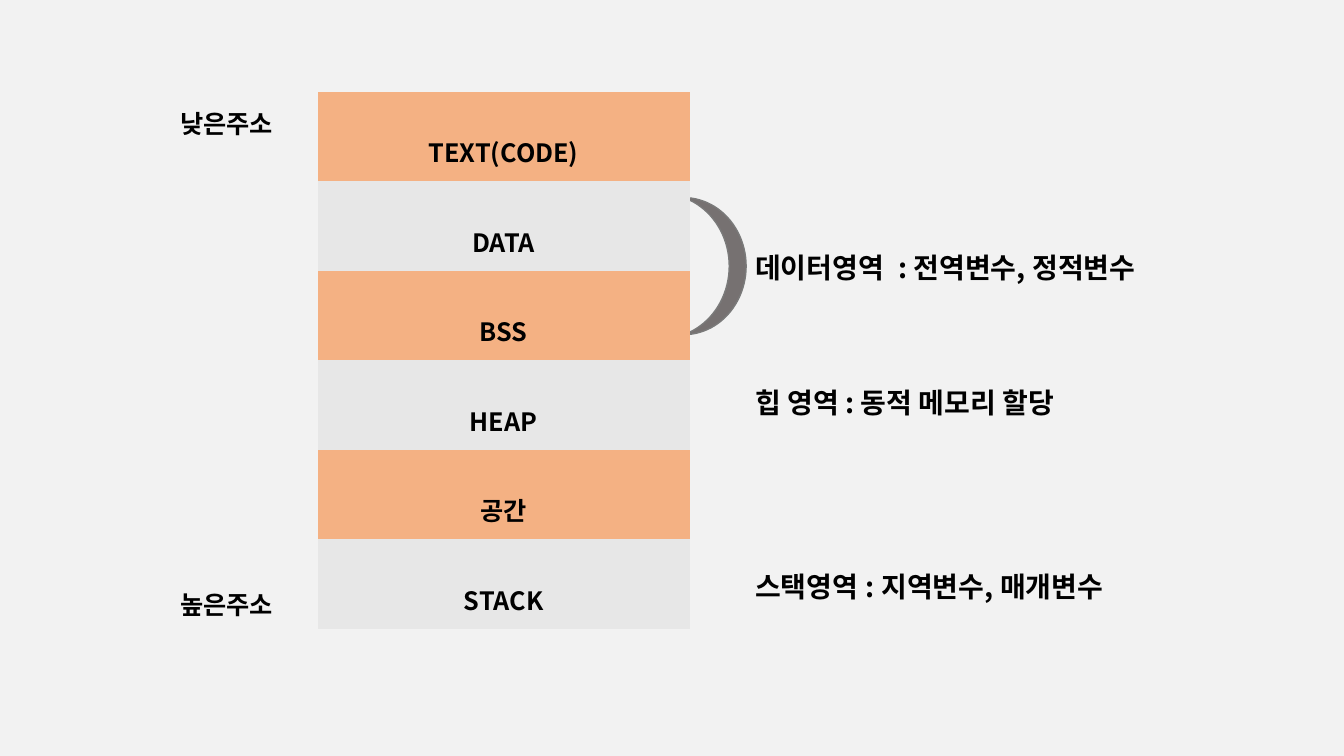
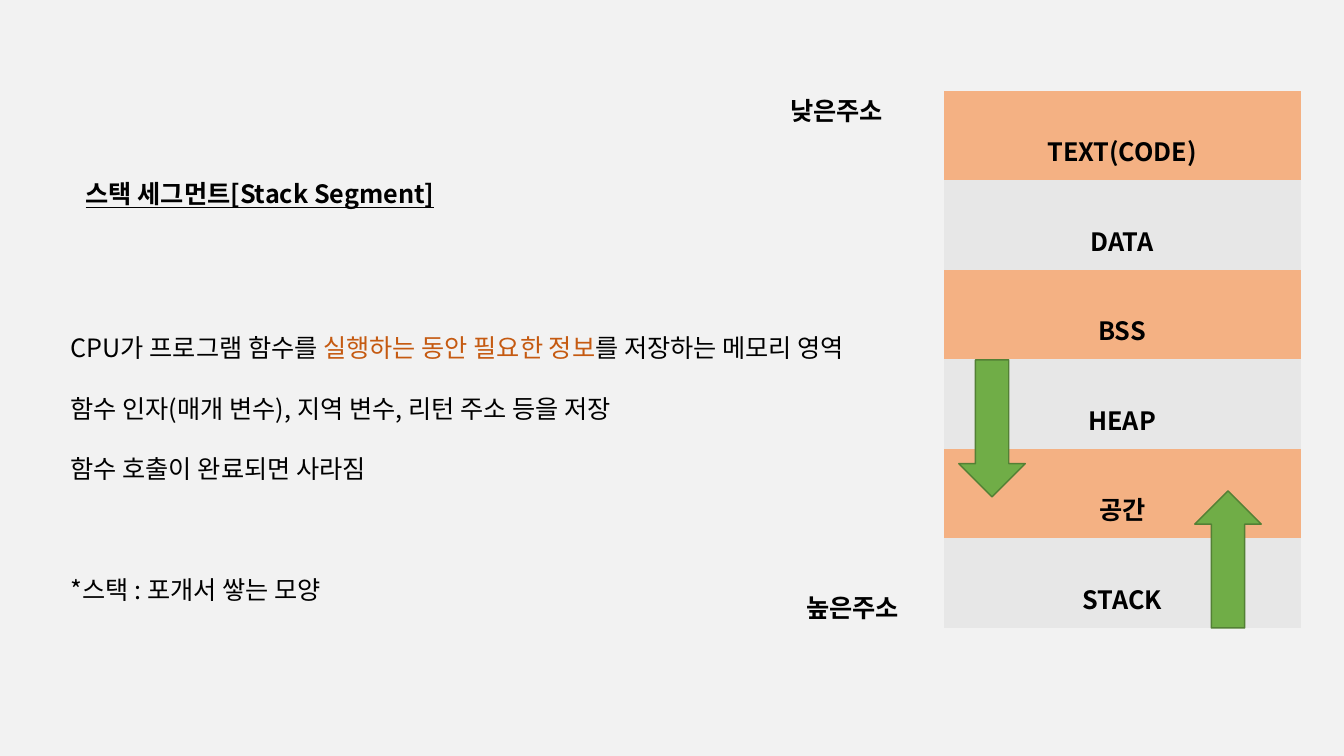
from lxml import etree
from pptx import Presentation
from pptx import util as u
from pptx.dml.color import RGBColor
from pptx.enum import shapes, text
from pptx.oxml.ns import qn

FONT = "Noto Sans CJK KR"
BLACK = RGBColor(0x00, 0x00, 0x00)
PAPER = RGBColor(0xF2, 0xF2, 0xF2)
ORANGE = RGBColor(0xF4, 0xB1, 0x83)
LIGHT_GRAY = RGBColor(0xE7, 0xE7, 0xE7)
ACCENT = RGBColor(0xC5, 0x5A, 0x11)
MOON_FILL = RGBColor(0x76, 0x71, 0x71)
MOON_LINE = RGBColor(0x7A, 0x7A, 0x7A)
GREEN = RGBColor(0x70, 0xAD, 0x47)
GREEN_LINE = RGBColor(0x53, 0x80, 0x35)
NO_GRID_STYLE = "{2D5ABB26-0587-4C30-8999-92F81FD0307C}"

PLAIN = {"size": u.Pt(18), "bold": False, "color": BLACK}
BOLD = {**PLAIN, "bold": True}
HEADING = {**BOLD, "underline": True}
NOTE = {**BOLD, "size": u.Pt(20)}
NOTE_GAP = {**BOLD, "size": u.Pt(24)}
HIGHLIGHT = {**PLAIN, "color": ACCENT}

SEGMENTS = ["TEXT(CODE)", "DATA", "BSS", "HEAP", "공간", "STACK"]
ROW_HEIGHT = 5.33 / len(SEGMENTS)
LINE = 21.6

AREA_NOTES = [
    ((7.39, 2.38, 5.7, 0.5),
     [("데이터영역 ", NOTE), (" ", NOTE_GAP), (": 전역변수, 정적변수", NOTE)]),
    ((7.39, 3.77, 5.12, 0.44), [("힙 영역 : 동적 메모리 할당", NOTE)]),
    ((7.39, 5.54, 5.32, 0.5),
     [("스택영역", NOTE), (" ", NOTE_GAP), (": 지역변수, 매개변수", NOTE)]),
]
STACK_TITLE = "스택 세그먼트[Stack Segment]"
STACK_POINTS = [
    (0, [("CPU가 프로그램 함수를 ", PLAIN), ("실행하는 동안 필요한 정보", HIGHLIGHT),
         ("를 저장하는 메모리 영역", PLAIN)]),
    (1, [("함수 인자(매개 변수), 지역 변수, 리턴 주소 등을 저장", PLAIN)]),
    (1, [("함수 호출이 완료되면 사라짐", PLAIN)]),
    (3, [("*스택 : 포개서 쌓는 모양", PLAIN)]),
]
GROWTH_ARROWS = [
    (shapes.MSO_SHAPE.UP_ARROW, (11.85, 4.87, 0.66, 1.36)),
    (shapes.MSO_SHAPE.DOWN_ARROW, (9.51, 3.57, 0.66, 1.36)),
]


def inches(box):
    return [u.Inches(value) for value in box]


def write(paragraph, runs):
    for words, style in runs:
        run = paragraph.add_run()
        run.text = words
        run.font.name = FONT
        for name, value in style.items():
            if name == "color":
                run.font.color.rgb = value
            else:
                setattr(run.font, name, value)
        latin = run.font._element.find(qn("a:latin"))
        east_asian = etree.Element(qn("a:ea"), typeface=FONT)
        latin.addnext(east_asian)


def set_frame(frame, anchor=text.MSO_ANCHOR.MIDDLE):
    settings = {"word_wrap": True, "auto_size": text.MSO_AUTO_SIZE.NONE,
                "vertical_anchor": anchor}
    for name, value in settings.items():
        setattr(frame, name, value)


def place(placeholder, box):
    for name, value in zip(("left", "top", "width", "height"), inches(box)):
        setattr(placeholder, name, value)


def add_label(slide, box, runs):
    frame = slide.shapes.add_textbox(*inches(box)).text_frame
    set_frame(frame)
    write(frame.paragraphs[0], runs)


def add_figure(slide, kind, box, fill, line):
    figure = slide.shapes.add_shape(kind, *inches(box))
    figure.shadow.inherit = False
    figure.fill.solid()
    figure.fill.fore_color.rgb = fill
    figure.line.color.rgb = line
    figure.line.width = u.Pt(1)
    return figure


def add_memory_map(slide, left, top, width):
    box = inches((left, top, width, ROW_HEIGHT * len(SEGMENTS)))
    memory = slide.shapes.add_table(len(SEGMENTS), 1, *box).table
    memory.first_row = memory.horz_banding = False
    memory._tbl.tblPr.find(qn("a:tableStyleId")).text = NO_GRID_STYLE
    for index, segment in enumerate(SEGMENTS):
        memory.rows[index].height = u.Inches(ROW_HEIGHT)
        cell = memory.cell(index, 0)
        cell.fill.solid()
        cell.fill.fore_color.rgb = LIGHT_GRAY if index % 2 else ORANGE
        cell.vertical_anchor = text.MSO_ANCHOR.MIDDLE
        cell.margin_top = u.Inches(0.35)
        paragraph = cell.text_frame.paragraphs[0]
        paragraph.alignment = text.PP_ALIGN.CENTER
        write(paragraph, [(segment, BOLD)])


def add_address_labels(slide, low, high):
    for (left, top), words in ((low, "낮은주소"), (high, "높은주소")):
        add_label(slide, (left, top, 1.46, 0.4), [(words, BOLD)])


def build_memory_areas(deck):
    slide = deck.slides.add_slide(deck.slide_layouts[6])
    for box, runs in AREA_NOTES:
        add_label(slide, box, runs)
    moon = add_figure(slide, shapes.MSO_SHAPE.MOON, (6.78, 1.96, 0.62, 1.36),
                      MOON_FILL, MOON_LINE)
    moon.rotation = 180
    moon.adjustments[0] = 0.27
    add_memory_map(slide, 3.15, 0.91, 3.69)
    add_address_labels(slide, (1.69, 1.02), (1.69, 5.8))


def build_stack_segment(deck):
    slide = deck.slides.add_slide(deck.slide_layouts[1])
    title, body = slide.shapes.title, slide.placeholders[1]
    place(title, (0.75, 1.72, 6.2, 0.4))
    set_frame(title.text_frame)
    heading = title.text_frame.paragraphs[0]
    heading.alignment = text.PP_ALIGN.LEFT
    write(heading, [(STACK_TITLE, HEADING)])

    place(body, (0.6, 3.25, 8.76, 3.14))
    set_frame(body.text_frame, text.MSO_ANCHOR.TOP)
    for index, (gap_lines, runs) in enumerate(STACK_POINTS):
        frame = body.text_frame
        point = frame.add_paragraph() if index else frame.paragraphs[0]
        point.line_spacing = u.Pt(LINE)
        point.space_before = u.Pt(LINE * gap_lines)
        properties = point._p.get_or_add_pPr()
        properties.set("marL", "0")
        properties.set("indent", "0")
        etree.SubElement(properties, qn("a:buNone"))
        write(point, runs)

    add_memory_map(slide, 9.36, 0.9, 3.54)
    for kind, box in GROWTH_ARROWS:
        add_figure(slide, kind, box, GREEN, GREEN_LINE)
    add_address_labels(slide, (7.74, 0.9), (7.9, 5.83))


def main():
    deck = Presentation()
    deck.slide_width, deck.slide_height = inches((13.33, 7.5))
    backdrop = deck.slide_master.background.fill
    backdrop.solid()
    backdrop.fore_color.rgb = PAPER
    build_memory_areas(deck)
    build_stack_segment(deck)
    deck.save("out.pptx")


if __name__ == "__main__":
    main()
